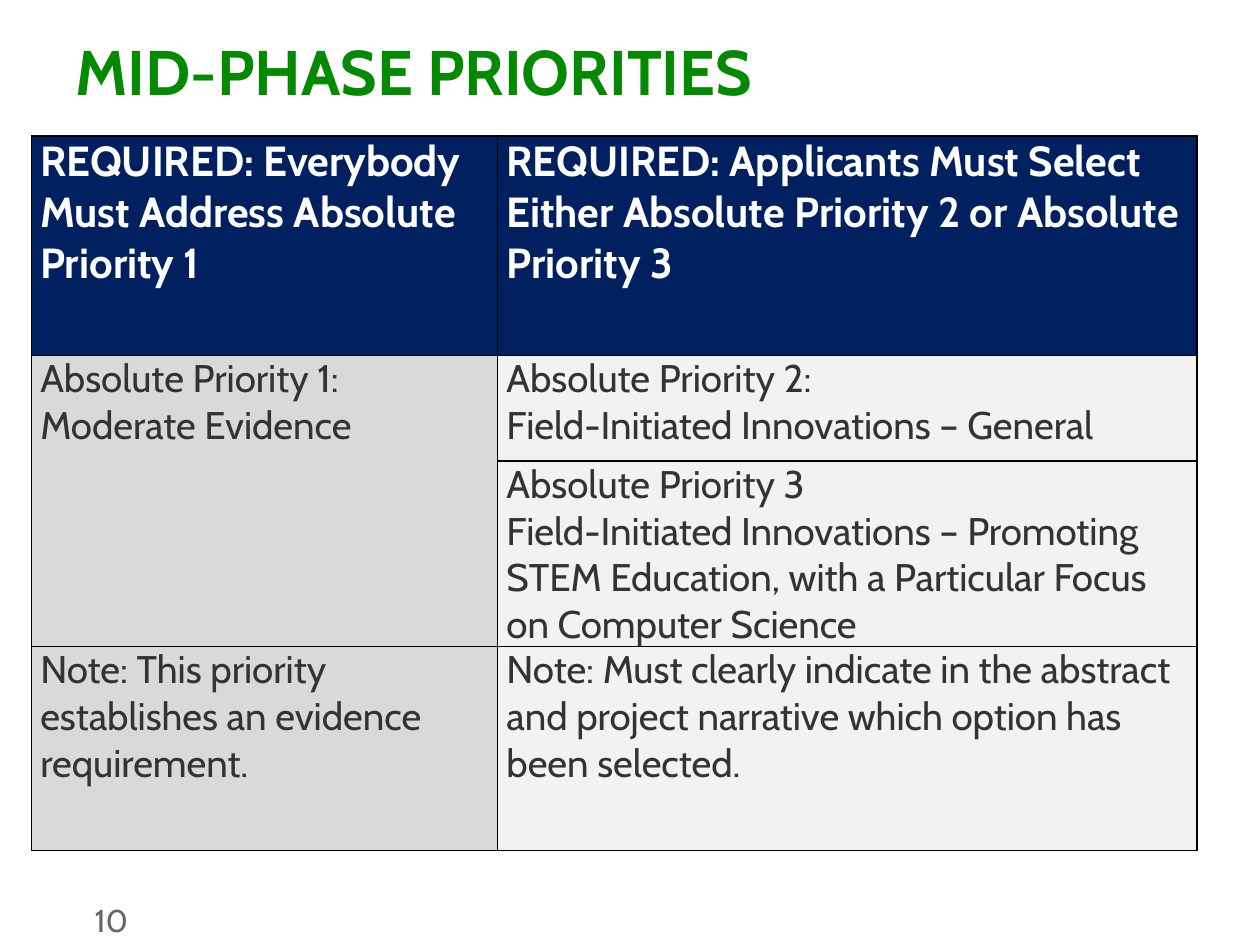
"""Build the mid-phase priorities slide with its table of absolute priorities."""
from lxml import etree
from pptx import Presentation
from pptx.dml.color import RGBColor
from pptx.enum.text import MSO_ANCHOR, PP_ALIGN
from pptx.oxml.ns import qn
from pptx.util import Inches, Pt

MIDDLE, TOP = MSO_ANCHOR.MIDDLE, MSO_ANCHOR.TOP
LEFT = PP_ALIGN.LEFT


def color(code):
    return RGBColor.from_string(code)


def write(frame, lines, size, code, bold=False):
    for i, line in enumerate(lines):
        para = frame.paragraphs[0] if i == 0 else frame.add_paragraph()
        para.alignment = LEFT
        run = para.add_run()
        run.text = line
        font = run.font
        font.name, font.size, font.bold = "Cabin", Pt(size), bold
        font.color.rgb = color(code)


prs = Presentation()
prs.slide_width, prs.slide_height = Inches(10), Inches(7.5)
slide = prs.slides.add_slide(prs.slide_layouts[5])

title = slide.shapes.title
title.left, title.top = Inches(0.5), Inches(0.25)
title.width, title.height = Inches(9), Inches(0.62)
title.text_frame.vertical_anchor = MIDDLE
write(title.text_frame, ["MID-PHASE PRIORITIES"], 36, "038A00", True)

number = slide.shapes.add_textbox(Inches(0.75), Inches(7.1), Inches(0.58), Inches(0.4))
frame = number.text_frame
frame.word_wrap = True
frame.margin_left = frame.margin_right = 0
frame.vertical_anchor = MIDDLE
write(frame, ["10"], 18, "666666")

rows = [
    (1.74, ["REQUIRED: Everybody Must Address Absolute Priority 1"],
     ["REQUIRED: Applicants Must Select",
      "Either Absolute Priority 2 or Absolute Priority 3"]),
    (0.84, ["Absolute Priority 1:", "Moderate Evidence"],
     ["Absolute Priority 2:", "Field-Initiated Innovations – General"]),
    (1.47, [],
     ["Absolute Priority 3",
      "Field-Initiated Innovations – Promoting STEM Education, "
      "with a Particular Focus on Computer Science"]),
    (1.62, ["Note: This priority establishes an evidence requirement."],
     ["Note: Must clearly indicate in the abstract and project narrative "
      "which option has been selected."]),
]
table = slide.shapes.add_table(
    len(rows), 2, Inches(0.25), Inches(1.08), Inches(9.25), Inches(5.67)).table
for col, width in zip(table.columns, (3.7, 5.55)):
    col.width = Inches(width)

for r, (height, *texts) in enumerate(rows):
    table.rows[r].height = Inches(height)
    for c, lines in enumerate(texts):
        cell = table.cell(r, c)
        cell.margin_left = cell.margin_right = Inches(0.07)
        cell.margin_top = cell.margin_bottom = 0
        cell.vertical_anchor = TOP
        props = cell._tc.get_or_add_tcPr()
        for side in ("lnL", "lnR", "lnT", "lnB"):
            edge = etree.SubElement(props, qn(f"a:{side}"), w=str(Pt(1)))
            paint = etree.SubElement(edge, qn("a:solidFill"))
            etree.SubElement(paint, qn("a:srgbClr"), val="000000")
        cell.fill.solid()
        if r == 0:
            cell.fill.fore_color.rgb = color("002060")
            write(cell.text_frame, lines, 24, "FFFFFF", True)
        else:
            cell.fill.fore_color.rgb = color(("D9D9D9", "F2F2F2")[c])
            write(cell.text_frame, lines, 22, "333333")

table.cell(1, 0).merge(table.cell(2, 0))

prs.save("out.pptx")
